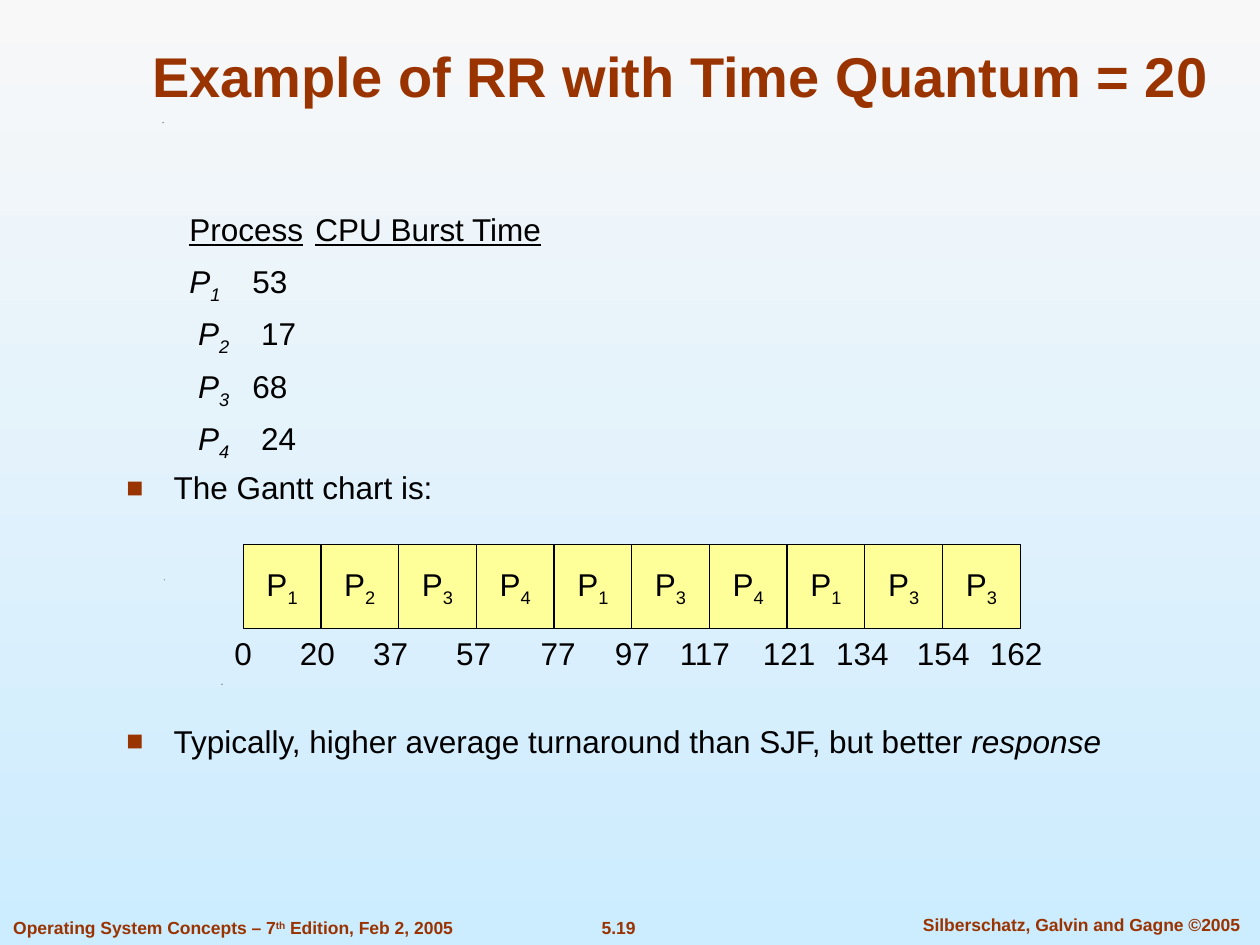
from dataclasses import dataclass

from lxml.etree import SubElement
from pptx import Presentation
from pptx.dml.color import RGBColor
from pptx.enum.shapes import MSO_SHAPE
from pptx.enum.text import MSO_ANCHOR, MSO_AUTO_SIZE, PP_ALIGN
from pptx.oxml.ns import qn
from pptx.util import Pt

COLORS = {
    "top": "F8F8F8",
    "bottom": "CCECFF",
    "accent": "993300",
    "text": "000000",
    "bar": "FFFF99",
}
FONT = "Arial"
SUBSCRIPT = -25
SUPERSCRIPT = 30


@dataclass(frozen=True)
class Piece:
    text: str
    italic: bool = False
    underline: bool = False
    baseline: int = 0


@dataclass(frozen=True)
class Box:
    left: float
    top: float
    width: float
    height: float


@dataclass(frozen=True)
class Footer:
    box: Box
    pieces: tuple[Piece, ...]
    align: PP_ALIGN
    wrap: bool = False


@dataclass(frozen=True)
class TimeMark:
    label: str
    center: float


FOOTERS = (
    Footer(Box(318, 520.5, 71, 19.5), (Piece("5.19"),), PP_ALIGN.CENTER),
    Footer(Box(511, 518.5, 214, 19.5), (Piece("Silberschatz, Galvin and Gagne ©2005"),),
           PP_ALIGN.CENTER, True),
    Footer(Box(0.5, 520.5, 266, 19.5),
           (Piece("Operating System Concepts – 7"), Piece("th", baseline=SUPERSCRIPT),
            Piece(" Edition, Feb 2, 2005")), PP_ALIGN.LEFT),
)
SPECKS = ((126.7, 390.8), (93.6, 331.2), (92.9, 70))
HEADER = (Piece("\t"), Piece("Process", underline=True),
          Piece("\t"), Piece("CPU Burst Time", underline=True))
BURSTS = (("P", "1", "53"), (" P", "2", " 17"), (" P", "3", "68"), (" P", "4", " 24"))
COLUMN_TABS = (99.5, 171.5)
GANTT_ORDER = "1234134133"
GANTT = Box(139, 311, 44.4, 48)
TIME_MARKS = (
    TimeMark("0", 139), TimeMark("20", 181.4), TimeMark("37", 223.2),
    TimeMark("57", 270.7), TimeMark("77", 319), TimeMark("97", 361.4),
    TimeMark("117", 402.8), TimeMark("121", 451), TimeMark("134", 492.8),
    TimeMark("154", 539), TimeMark("162", 580.7),
)


def color(name: str) -> RGBColor:
    return RGBColor.from_string(COLORS[name])


def place(shape, box: Box) -> None:
    shape.left, shape.top = Pt(box.left), Pt(box.top)
    shape.width, shape.height = Pt(box.width), Pt(box.height)


def write(paragraph, pieces: tuple[Piece, ...], size: float, color_name: str = "text",
          bold: bool = False, align: PP_ALIGN = PP_ALIGN.LEFT) -> None:
    paragraph.alignment = align
    font = paragraph.font
    font.name, font.size, font.bold = FONT, Pt(size), bold
    font.color.rgb = color(color_name)
    for piece in pieces:
        run = paragraph.add_run()
        run.text = piece.text
        if piece.italic:
            run.font.italic = True
        if piece.underline:
            run.font.underline = True
        if piece.baseline:
            run._r.get_or_add_rPr().set("baseline", str(piece.baseline * 1000))


def add_label(shapes, box: Box, pieces: tuple[Piece, ...], size: float,
              color_name: str = "text", bold: bool = False,
              align: PP_ALIGN = PP_ALIGN.CENTER, wrap: bool = False) -> None:
    shape = shapes.add_textbox(Pt(box.left), Pt(box.top), Pt(box.width), Pt(box.height))
    shape.text_frame.word_wrap = wrap
    write(shape.text_frame.paragraphs[0], pieces, size, color_name, bold, align)


def add_speck(shapes, left: float, top: float) -> None:
    builder = shapes.build_freeform(Pt(left), Pt(top), scale=1.0)
    builder.add_line_segments([(Pt(left + 0.7), Pt(top)), (Pt(left), Pt(top + 0.5))])
    shape = builder.convert_to_shape()
    shape.shadow.inherit = False
    shape.fill.solid()
    shape.fill.fore_color.rgb = color("text")
    shape.line.fill.background()


def add_bar(shapes, box: Box, process: str) -> None:
    shape = shapes.add_shape(MSO_SHAPE.RECTANGLE, Pt(box.left), Pt(box.top),
                             Pt(box.width), Pt(box.height))
    shape.shadow.inherit = False
    shape.fill.solid()
    shape.fill.fore_color.rgb = color("bar")
    shape.line.color.rgb = color("text")
    shape.line.width = Pt(0.75)
    frame = shape.text_frame
    frame.word_wrap = False
    frame.vertical_anchor = MSO_ANCHOR.MIDDLE
    write(frame.paragraphs[0], (Piece("P"), Piece(process, baseline=SUBSCRIPT)), 18,
          align=PP_ALIGN.CENTER)


def set_list_format(paragraph, bulleted: bool) -> None:
    properties = paragraph._p.get_or_add_pPr()
    indent = Pt(27) if bulleted else 0
    properties.set("marL", str(indent))
    properties.set("indent", str(-indent))
    if bulleted:
        bullet_color = SubElement(properties, qn("a:buClr"))
        SubElement(bullet_color, qn("a:srgbClr"), val=COLORS["accent"])
        SubElement(properties, qn("a:buSzPct"), val="90000")
        SubElement(properties, qn("a:buFont"), typeface=FONT)
        SubElement(properties, qn("a:buChar"), char="■")
    else:
        SubElement(properties, qn("a:buNone"))
        tabs = SubElement(properties, qn("a:tabLst"))
        for position in COLUMN_TABS:
            SubElement(tabs, qn("a:tab"), pos=str(Pt(position)), algn="l")


def fill_body(frame) -> None:
    rows = [HEADER] + [
        (Piece("\t"), Piece(name, italic=True),
         Piece(index, italic=True, baseline=SUBSCRIPT), Piece("\t" + burst))
        for name, index, burst in BURSTS
    ]
    bullets = [
        (Piece("The Gantt chart is:"),),
        (Piece("Typically, higher average turnaround than SJF, but better "),
         Piece("response", italic=True)),
    ]
    gaps = [0] + [7.9] * len(rows) + [125.4]
    for number, (pieces, gap) in enumerate(zip(rows + bullets, gaps)):
        paragraph = frame.paragraphs[0] if number == 0 else frame.add_paragraph()
        set_list_format(paragraph, number >= len(rows))
        paragraph.line_spacing = 0.9
        paragraph.space_before = Pt(gap)
        write(paragraph, pieces, 18)


def main() -> None:
    presentation = Presentation()
    presentation.slide_width, presentation.slide_height = Pt(720), Pt(540)
    slide = presentation.slides.add_slide(presentation.slide_layouts[1])

    background = slide.background.fill
    background.gradient()
    background.gradient_angle = 270
    for stop, name, position in zip(background.gradient_stops, ("top", "bottom"), (0, 1)):
        stop.color.rgb = color(name)
        stop.position = position

    title, body = slide.shapes.title, slide.placeholders[1]
    place(title, Box(72, 0, 634, 66))
    title.text_frame.vertical_anchor = MSO_ANCHOR.BOTTOM
    write(title.text_frame.paragraphs[0], (Piece("Example of RR with Time Quantum = 20"),),
          32, "accent", True, PP_ALIGN.CENTER)
    place(body, Box(65, 119, 579, 353))
    for placeholder in (title, body):
        placeholder.text_frame.auto_size = MSO_AUTO_SIZE.NONE
    fill_body(body.text_frame)

    for footer in FOOTERS:
        add_label(slide.shapes, footer.box, footer.pieces, 10, "accent", True,
                  footer.align, footer.wrap)
    for left, top in SPECKS:
        add_speck(slide.shapes, left, top)

    chart = slide.shapes.add_group_shape()
    for number, process in enumerate(GANTT_ORDER):
        left = GANTT.left + number * GANTT.width
        add_bar(chart.shapes, Box(left, GANTT.top, GANTT.width, GANTT.height), process)
    for mark in TIME_MARKS:
        width = 14.4 + 10 * len(mark.label)
        box = Box(mark.center - width / 2, GANTT.top + GANTT.height, width, 29)
        add_label(chart.shapes, box, (Piece(mark.label),), 18)

    presentation.save("out.pptx")


if __name__ == "__main__":
    main()
